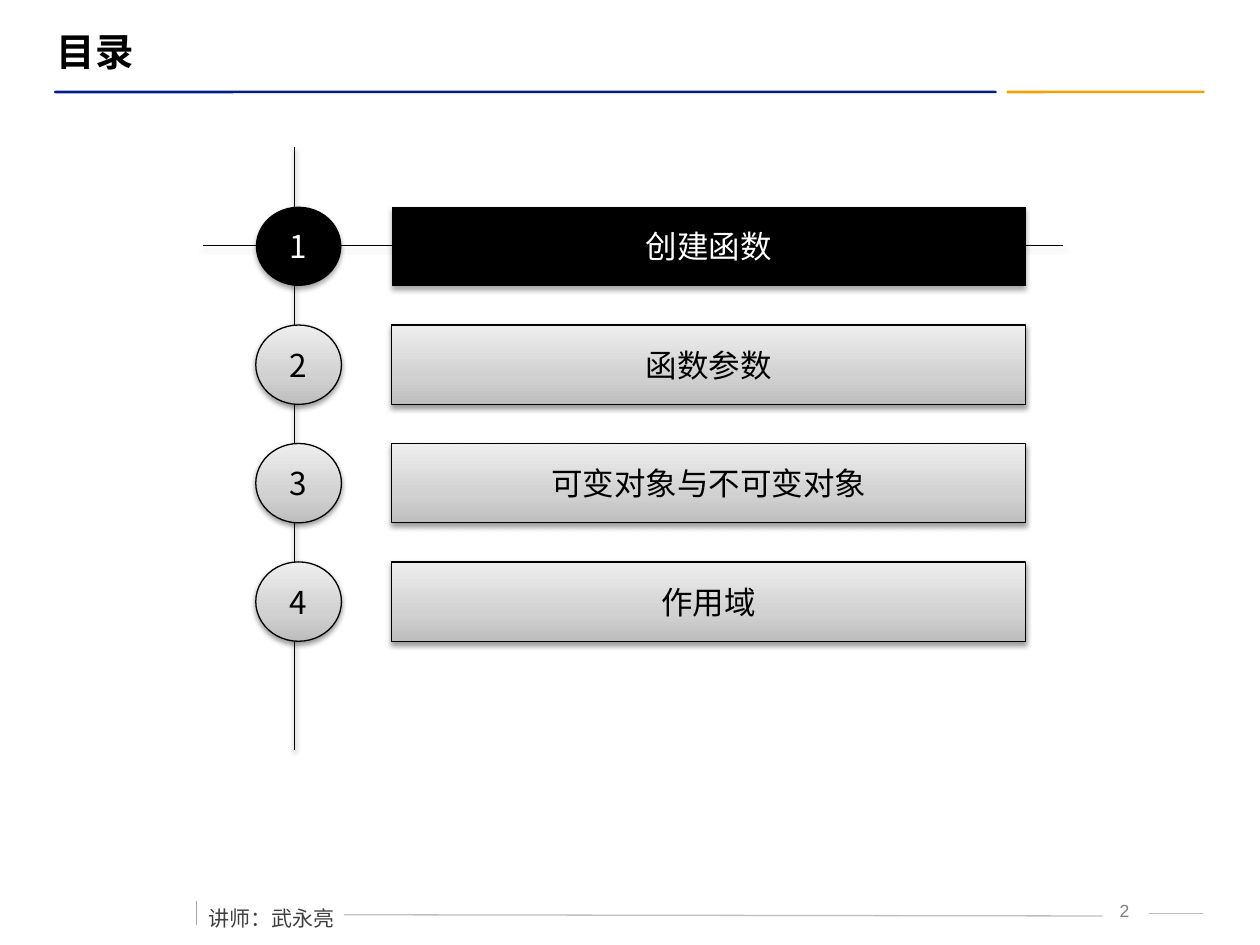
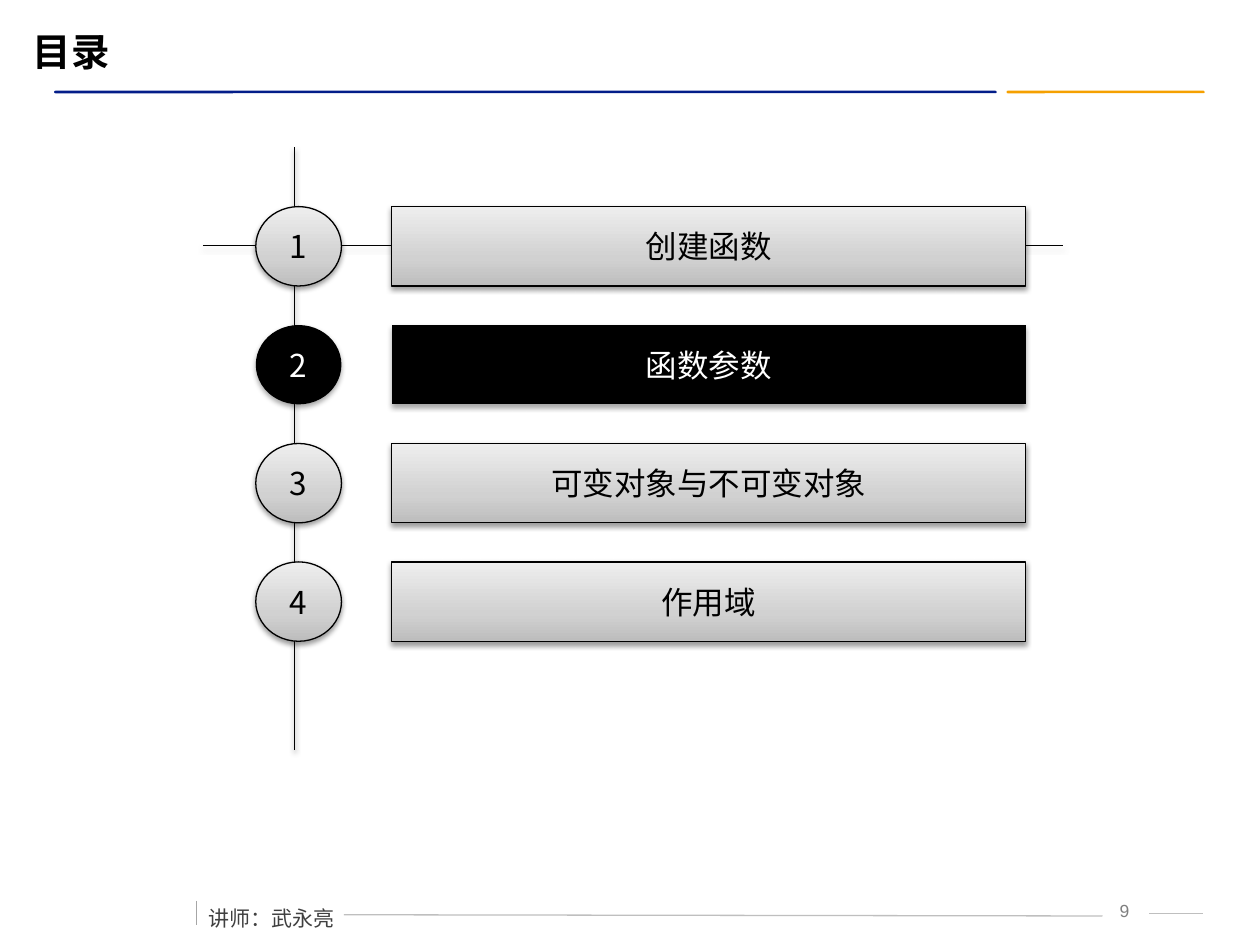
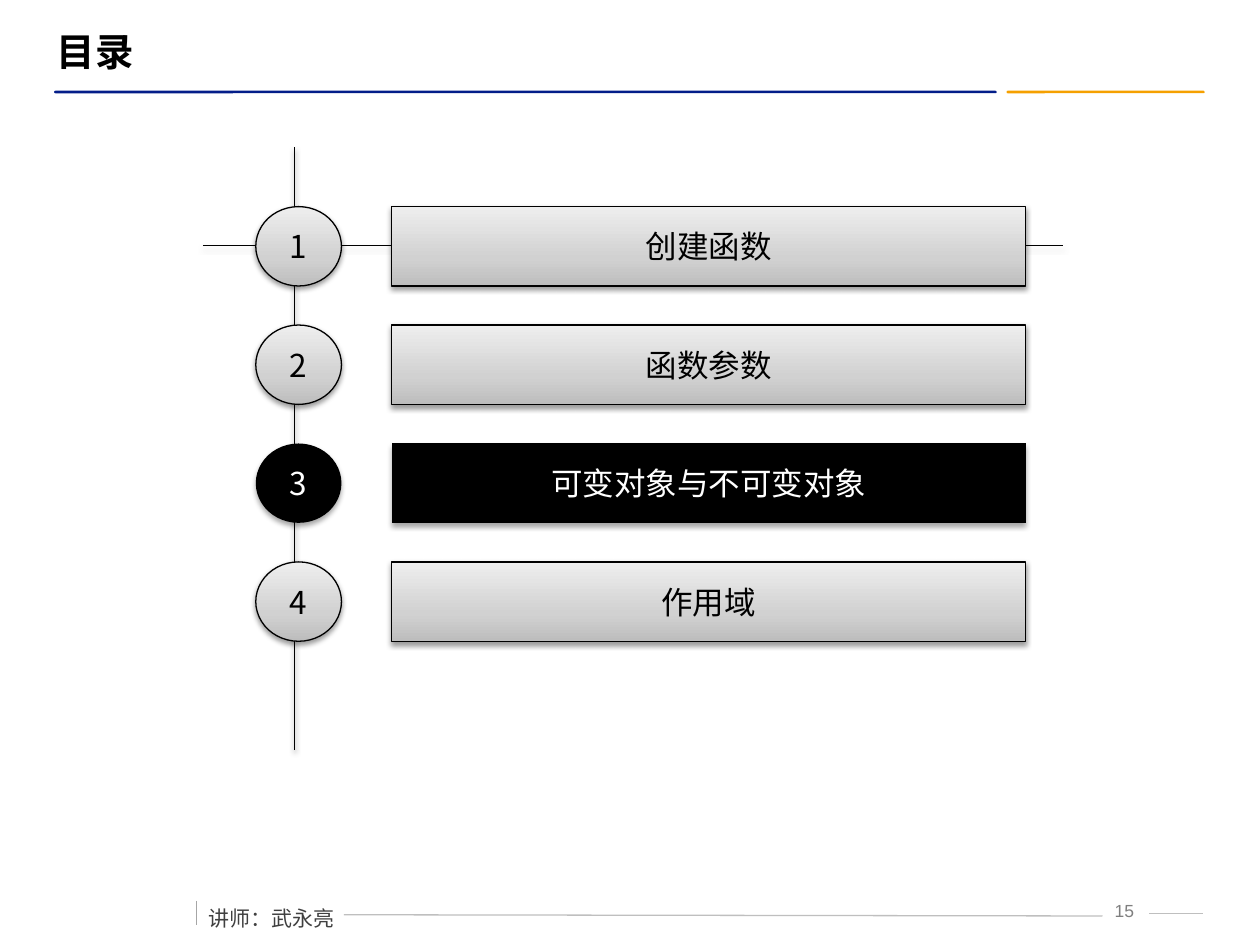
"""Build three agenda slides, each highlighting one chapter of the course."""
from lxml.etree import SubElement
from pptx import Presentation
from pptx.dml.color import RGBColor
from pptx.enum.shapes import MSO_CONNECTOR, MSO_SHAPE
from pptx.enum.text import MSO_ANCHOR, MSO_AUTO_SIZE, PP_ALIGN
from pptx.oxml import parse_xml
from pptx.oxml.ns import nsdecls, qn
from pptx.util import Inches, Pt

BLACK = RGBColor(0x00, 0x00, 0x00)
WHITE = RGBColor(0xFF, 0xFF, 0xFF)
BLUE = RGBColor(0x03, 0x1D, 0x89)
ORANGE = RGBColor(0xF5, 0xA0, 0x00)
FOOTER_TEXT = RGBColor(0x40, 0x40, 0x40)
FOOTER_LINE = RGBColor(0xBF, 0xBF, 0xBF)
FOOTER_TICK = RGBColor(0xA6, 0xA6, 0xA6)
PAGE_GRAY = RGBColor(0x7F, 0x7F, 0x7F)
GRADIENT = (
    (0, RGBColor(0xBD, 0xBD, 0xBD)),
    (35, RGBColor(0xD1, 0xD1, 0xD1)),
    (100, RGBColor(0xEE, 0xEE, 0xEE)),
)

LATIN_FONT = "Arial"
CHINESE_FONT = "Noto Sans CJK SC"

CHAPTERS = ("创建函数", "函数参数", "可变对象与不可变对象", "作用域")
FIRST_TOP, ROW_PITCH, ROW_HEIGHT = 1.64, 0.94, 0.63
AGENDAS = ((1, 2, 0.35), (2, 9, 0.16), (3, 15, 0.35))
TITLE_RIGHT = 9.25


def write_text(shape, text, font=CHINESE_FONT, size=18, color=BLACK, bold=False,
               align=PP_ALIGN.LEFT, anchor=MSO_ANCHOR.TOP, wrap=True,
               line_spacing=None, space_before=None):
    """Write one formatted paragraph into a shape."""
    frame = shape.text_frame
    frame.word_wrap = wrap
    frame.vertical_anchor = anchor
    paragraph = frame.paragraphs[0]
    paragraph.alignment = align
    if line_spacing:
        paragraph.line_spacing = line_spacing
    if space_before:
        paragraph.space_before = Pt(space_before)
    run = paragraph.add_run()
    run.text = text
    run.font.name = font
    run.font.size = Pt(size)
    run.font.bold = bold
    run.font.color.rgb = color
    SubElement(run.font._element, qn("a:ea"), typeface=CHINESE_FONT)


def add_shadow(shape, opacity, distance):
    """Give a shape or connector a soft shadow below it."""
    properties = shape._element.spPr
    for effects in properties.findall(qn("a:effectLst")):
        properties.remove(effects)
    properties.append(parse_xml(
        f'<a:effectLst {nsdecls("a")}><a:outerShdw blurRad="{Pt(3.1)}" '
        f'dist="{Pt(distance)}" dir="5400000" rotWithShape="0">'
        f'<a:srgbClr val="{BLACK}"><a:alpha val="{opacity * 1000}"/></a:srgbClr>'
        '</a:outerShdw></a:effectLst>'))


def add_gradient(shape):
    """Fill a shape with gray that lightens towards the top."""
    stops = "".join(
        f'<a:gs pos="{position * 1000}"><a:srgbClr val="{color}"/></a:gs>'
        for position, color in GRADIENT)
    shape._element.spPr.find(qn("a:prstGeom")).addnext(parse_xml(
        f'<a:gradFill {nsdecls("a")} rotWithShape="1"><a:gsLst>{stops}</a:gsLst>'
        '<a:lin ang="16200000" scaled="0"/></a:gradFill>'))


class AgendaDeck:
    """Hold the presentation style and the slide being drawn."""

    def __init__(self):
        """Start an empty 10 by 7.5 inch presentation."""
        self.presentation = Presentation()
        self.presentation.slide_width = Inches(10)
        self.presentation.slide_height = Inches(7.5)
        self.slide = None

    def shape(self, kind, left, top, width, height):
        """Add a preset shape without a shadow."""
        shape = self.slide.shapes.add_shape(
            kind, Inches(left), Inches(top), Inches(width), Inches(height))
        shape.shadow.inherit = False
        return shape

    def band(self, left, width, color, roundness):
        """Add one piece of the rule under the title."""
        band = self.shape(MSO_SHAPE.ROUNDED_RECTANGLE, left, 0.72, width, 0.02)
        band.adjustments[0] = roundness
        band.fill.solid()
        band.fill.fore_color.rgb = color
        band.line.fill.background()

    def line(self, start, end, color):
        """Add a thin straight line without a shadow."""
        line = self.slide.shapes.add_connector(
            MSO_CONNECTOR.STRAIGHT, *map(Inches, start + end))
        line.line.color.rgb = color
        line.line.width = Pt(0.75)
        SubElement(line._element.spPr, qn("a:effectLst"))
        return line

    def label(self, left, top, width, height, text, **style):
        """Add a text box."""
        box = self.slide.shapes.add_textbox(
            Inches(left), Inches(top), Inches(width), Inches(height))
        write_text(box, text, **style)
        return box

    def title(self, text, left):
        """Place and fill the title placeholder."""
        title = self.slide.shapes.title
        title.left, title.top = Inches(left), Inches(0.17)
        title.width, title.height = Inches(TITLE_RIGHT - left), Inches(0.47)
        write_text(title, text, font=LATIN_FONT, size=22, bold=True,
                   anchor=MSO_ANCHOR.MIDDLE)

    def frame(self, page):
        """Draw the title rule and the footer."""
        self.band(7.99, 1.57, ORANGE, 0.36)
        self.band(0.43, 7.48, BLUE, 0.5)
        self.label(8.67, 7.09, 0.47, 0.25, f" {page}", font=LATIN_FONT, size=10,
                   color=PAGE_GRAY, align=PP_ALIGN.CENTER)
        self.line((2.73, 7.26), (8.75, 7.27), FOOTER_LINE)
        self.line((9.12, 7.25), (9.55, 7.25), FOOTER_LINE)
        self.line((1.56, 7.15), (1.56, 7.34), FOOTER_TICK)
        lecturer = self.label(1.56, 7.04, 1.21, 0.36, "讲师：武永亮", size=12,
                              color=FOOTER_TEXT, wrap=False, line_spacing=1.5,
                              space_before=6)
        lecturer.text_frame.auto_size = MSO_AUTO_SIZE.SHAPE_TO_FIT_TEXT

    def agenda_item(self, kind, left, top, width, text, active):
        """Add a number circle or chapter bar, black when active."""
        item = self.shape(kind, left, top, width, ROW_HEIGHT)
        if active:
            item.fill.solid()
            item.fill.fore_color.rgb = BLACK
            item.line.fill.background()
            add_shadow(item, 35, 1.8)
        else:
            add_gradient(item)
            item.line.color.rgb = BLACK
            item.line.width = Pt(0.75)
            add_shadow(item, 38, 1.6)
        write_text(item, text, color=WHITE if active else BLACK, wrap=False,
                   align=PP_ALIGN.CENTER, anchor=MSO_ANCHOR.MIDDLE)

    def agenda(self, current, page, title_left):
        """Add a slide that highlights the current chapter."""
        self.slide = self.presentation.slides.add_slide(
            self.presentation.slide_layouts.get_by_name("Title Only"))
        self.frame(page)
        for start, end in (((2.34, 1.17), (2.34, 5.95)),
                           ((1.61, 1.95), (8.44, 1.95))):
            add_shadow(self.line(start, end, BLACK), 38, 1.6)
        self.title("目录", title_left)
        for number, chapter in enumerate(CHAPTERS, 1):
            top = FIRST_TOP + (number - 1) * ROW_PITCH
            active = number == current
            self.agenda_item(MSO_SHAPE.OVAL, 2.03, top, 0.68, str(number), active)
            self.agenda_item(MSO_SHAPE.ACTION_BUTTON_CUSTOM, 3.11, top, 5.03,
                             chapter, active)


def main():
    """Build and save the presentation."""
    deck = AgendaDeck()
    for current, page, title_left in AGENDAS:
        deck.agenda(current, page, title_left)
    deck.presentation.save("out.pptx")


if __name__ == "__main__":
    main()
